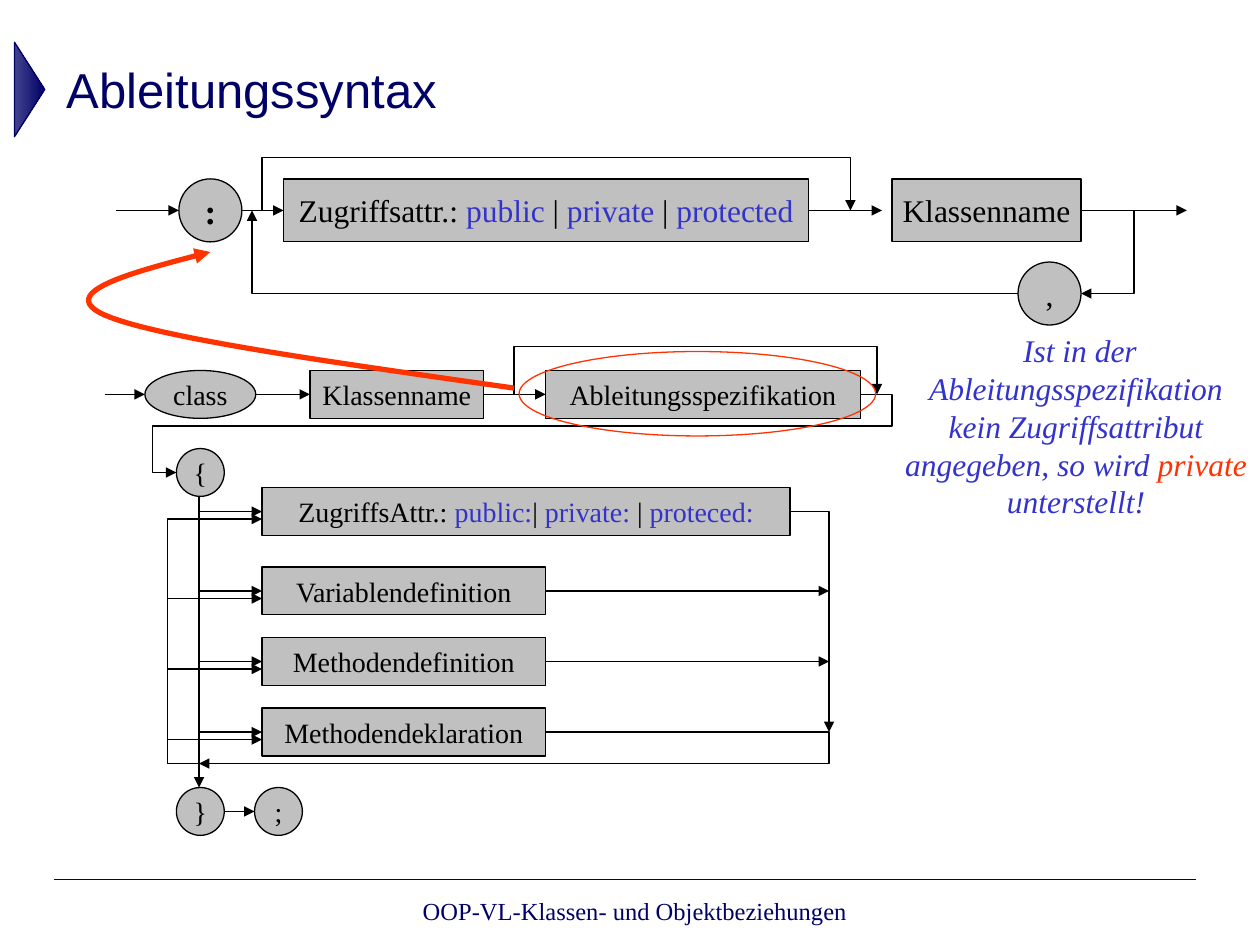
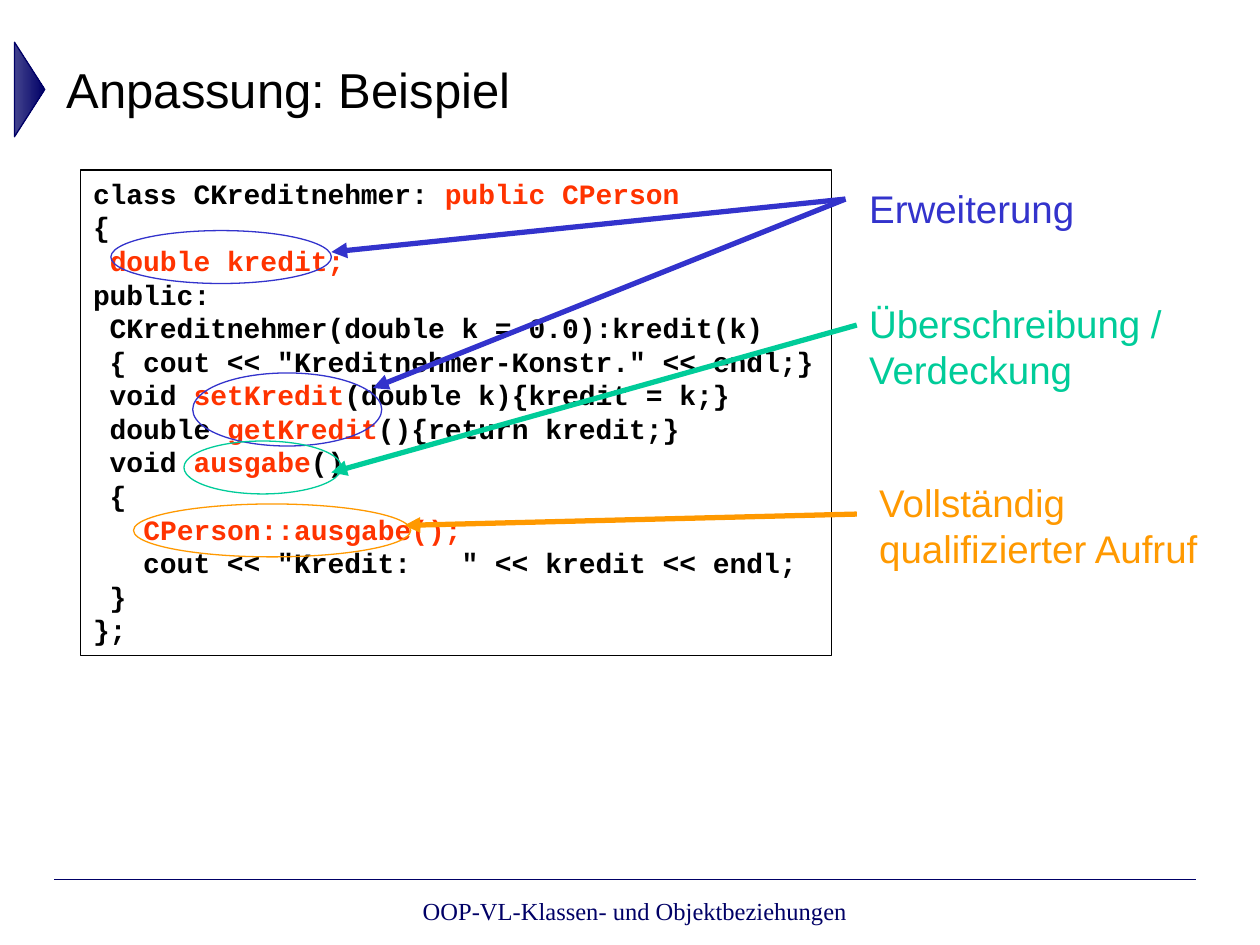
from pptx import Presentation
from pptx.dml.color import RGBColor
from pptx.enum import shapes, text
from pptx.oxml.ns import qn
from pptx.util import Inches, Pt
from lxml import etree

NAVY = RGBColor(0x00, 0x00, 0x66)
SLATE = RGBColor(0x43, 0x43, 0x8E)
BLACK = RGBColor(0x00, 0x00, 0x00)
WHITE = RGBColor(0xFF, 0xFF, 0xFF)
GREY = RGBColor(0xC0, 0xC0, 0xC0)
BLUE = RGBColor(0x33, 0x33, 0xCC)
RED = RGBColor(0xFF, 0x33, 0x00)
GREEN = RGBColor(0x00, 0xCC, 0x99)
ORANGE = RGBColor(0xFF, 0x99, 0x00)

SERIF, SANS, MONO = "Times New Roman", "Arial", "Courier New"
RECT = shapes.MSO_SHAPE.RECTANGLE
OVAL = shapes.MSO_SHAPE.OVAL
CENTER, LEFT = text.PP_ALIGN.CENTER, text.PP_ALIGN.LEFT
MIDDLE, TOP = text.MSO_ANCHOR.MIDDLE, text.MSO_ANCHOR.TOP
FOOTER = "OOP-VL-Klassen- und Objektbeziehungen"


def bezier(p0, p1, p2, p3, steps=24):
    """Points along a cubic curve, without its start."""
    for i in range(1, steps + 1):
        t = i / steps
        weights = ((1 - t) ** 3, 3 * t * (1 - t) ** 2, 3 * t * t * (1 - t), t ** 3)
        yield tuple(sum(w * p[axis] for w, p in zip(weights, (p0, p1, p2, p3)))
                    for axis in (0, 1))


class Deck:
    def __init__(self):
        self.prs = Presentation()
        self.prs.slide_width, self.prs.slide_height = Inches(10), Inches(7.5)
        self.s = None

    def new_slide(self, title, color):
        self.s = self.prs.slides.add_slide(self.prs.slide_layouts[5])
        # Title
        sp = self.s.shapes.title
        sp.left, sp.top, sp.width, sp.height = map(Inches, (0.43, 0.33, 9.06, 0.75))
        self.fill_text(sp.text_frame, [[(title, color)]], SANS, 28, LEFT, MIDDLE)
        # Footer rule, title marker and footer text
        self.line((0.43, 6.98), (9.49, 6.98), NAVY, 1, arrow=False)
        sp = self.shape(shapes.MSO_SHAPE.ISOSCELES_TRIANGLE, -0.14, 0.59, 0.75, 0.24, line=NAVY)
        sp.rotation = 90
        sp.fill.gradient()
        sp.fill.gradient_angle = 0
        for stop, rgb in zip(sp.fill.gradient_stops, (SLATE, NAVY)):
            stop.color.rgb = rgb
        sp.element.spPr.find(qn("a:gradFill")).set("rotWithShape", "0")
        self.label(2.56, 7.06, 4.96, 0.32, [(FOOTER, NAVY)], SERIF, 14, CENTER)

    def fill_text(self, tf, lines, font, size, align, anchor, wrap=True, bold=False,
                  italic=False):
        tf.word_wrap, tf.vertical_anchor = wrap, anchor
        for i, runs in enumerate(lines):
            p = tf.add_paragraph() if i else tf.paragraphs[0]
            p.alignment = align
            for words, color in runs:
                r = p.add_run()
                r.text = words
                r.font.name, r.font.size = font, Pt(size)
                r.font.bold, r.font.italic = bold, italic
                r.font.color.rgb = color

    def shape(self, kind, left, top, width, height, fill=None, line=BLACK):
        sp = self.s.shapes.add_shape(kind, *map(Inches, (left, top, width, height)))
        self.style(sp, fill, line, 0.75)
        return sp

    def style(self, sp, fill, line, weight):
        sp.shadow.inherit = False
        if fill is None:
            sp.fill.background()
        else:
            sp.fill.solid()
            sp.fill.fore_color.rgb = fill
        sp.line.color.rgb, sp.line.width = line, Pt(weight)

    def node(self, kind, left, mid, width, runs, size=16, height=0.38, bold=False):
        """Grey syntax symbol, centred on the height mid."""
        sp = self.shape(kind, left, mid - height / 2, width, height, GREY)
        if isinstance(runs, str):
            runs = [(runs, BLACK)]
        self.fill_text(sp.text_frame, [runs], SERIF, size, CENTER, MIDDLE, wrap=False, bold=bold)
        return sp

    def label(self, left, top, width, height, runs, font, size, align=LEFT, italic=False):
        sp = self.s.shapes.add_textbox(*map(Inches, (left, top, width, height)))
        self.fill_text(sp.text_frame, [runs], font, size, align, TOP, italic=italic)

    def add_head(self, sp):
        ln = sp.element.spPr.find(qn("a:ln"))
        etree.SubElement(ln, qn("a:tailEnd"), type="triangle")

    def line(self, start, end, color=BLACK, weight=0.75, source=None, target=None, arrow=True):
        """Straight line; joins the right side of source and the left side of target."""
        sp = self.s.shapes.add_connector(shapes.MSO_CONNECTOR.STRAIGHT,
                                         *map(Inches, start + end))
        if source is not None:
            sp.begin_connect(source, 3)
        if target is not None:
            sp.end_connect(target, 1)
        sp.line.color.rgb, sp.line.width = color, Pt(weight)
        if arrow:
            self.add_head(sp)
        etree.SubElement(sp.element.spPr, qn("a:effectLst"))

    def route(self, *points, color=BLACK, weight=0.75):
        """Open outline with an arrowhead at its last point."""
        emu = [tuple(map(Inches, p)) for p in points]
        builder = self.s.shapes.build_freeform(*emu[0])
        builder.add_line_segments(emu[1:], close=False)
        sp = builder.convert_to_shape()
        self.style(sp, None, color, weight)
        self.add_head(sp)


def alternatives(prefix, words, bars):
    """Prefix and blue keywords, with black separators between them."""
    runs = [(prefix, BLACK)]
    for word, bar in zip(words, bars + [""]):
        runs.append((word, BLUE))
        if bar:
            runs.append((bar, BLACK))
    return runs


def syntax_slide(d):
    d.new_slide("Ableitungssyntax", NAVY)

    # Class definition: head row
    y = 3.13
    d.node(OVAL, 1.15, y, 0.88, "class")
    name = d.node(RECT, 2.46, y, 1.38, "Klassenname")
    derivation = d.node(RECT, 4.33, y, 2.5, "Ableitungsspezifikation")
    d.line((0.83, y), (1.15, y))
    d.line((2.03, y), (2.46, y), target=name)
    d.line((3.84, y), (4.33, y), source=name, target=derivation)

    # Class body: members with entry, repeat and exit lines
    spine, loop, out = 1.58, 1.33, 6.58
    for brace, left, mid in (("{", 1.4, 3.75), ("}", 1.4, 6.44), (";", 2.02, 6.44)):
        d.node(OVAL, left, mid, 0.38, brace)
    d.line((spine, 3.94), (spine, 6.25))
    d.line((1.78, 6.44), (2.02, 6.44))
    access = alternatives("ZugriffsAttr.: ", ["public:", "private:", "proteced:"], ["| ", " | "])
    members = [(access, 4.06, 4.19), ("Variablendefinition", 4.69, 2.25),
               ("Methodendefinition", 5.25, 2.25), ("Methodendeklaration", 5.81, 2.25)]
    for i, (words, mid, width) in enumerate(members):
        member = d.node(RECT, 2.08, mid, width, words)
        d.line((spine, mid), (2.08, mid), target=member)
        if i:
            d.line((loop, mid + 0.06), (2.08, mid + 0.06))
        if i in (1, 2):
            d.line((4.33, mid), (out, mid), source=member)
    d.route((4.33, 5.81), (out, 5.81), (out, 6.06), (spine, 6.06))
    d.route((6.27, 4.06), (out, 4.06), (out, 5.81))
    d.route((spine, 6.06), (loop, 6.06), (loop, 4.12), (2.08, 4.12))
    d.route((6.83, y), (7.08, y), (7.08, 3.38), (1.21, 3.38), (1.21, 3.75), (1.4, 3.75))
    d.route((4.08, y), (4.08, 2.75), (6.96, 2.75), (6.96, y))
    d.shape(OVAL, 4.12, 2.79, 2.83, 0.67, line=RED)

    # Derivation specification
    y, back = 1.67, 2.33
    d.node(OVAL, 1.42, y, 0.5, ":", 20, 0.5, bold=True)
    access = alternatives("Zugriffsattr.: ", ["public", "private", "protected"], [" | ", " | "])
    access = d.node(RECT, 2.25, y, 4.17, access, 18, 0.5)
    base = d.node(RECT, 7.08, y, 1.5, "Klassenname", 18, 0.5)
    d.node(OVAL, 8.08, back, 0.5, ",", 18, 0.5)
    d.line((0.92, y), (1.42, y))
    d.line((1.92, y), (2.25, y), target=access)
    d.line((6.42, y), (7, y), source=access)
    d.line((8.58, y), (9.42, y), source=base)
    d.route((9, y), (9, back), (8.58, back))
    d.route((8.08, back), (2, back), (2, y))
    d.route((2.08, y), (2.08, 1.25), (6.75, 1.25), (6.75, y))

    # Curved pointer and remark
    start, turn, tip = (4.08, 3.08), (0.83, 2.5), (1.67, 2)
    d.route(start, *bezier(start, (2.66, 2.88), (1.24, 2.68), turn),
            *bezier(turn, (0.43, 2.32), (1.05, 2.16), tip), color=RED, weight=3)
    d.label(7.08, 2.58, 2.92, 1.6, [
        (" ", BLACK),
        ("Ist in der Ableitungsspezifikation kein Zugriffsattribut angegeben, so wird ", BLUE),
        ("private", RED), (" unterstellt!", BLUE)], SERIF, 18, CENTER, italic=True)


def example_slide(d):
    d.new_slide("Anpassung: Beispiel", BLACK)

    # Code listing
    code = [
        [("class CKreditnehmer: ", BLACK), ("public CPerson", RED)],
        [("{", BLACK)],
        [(" ", BLACK), ("double kredit;", RED)],
        [("public:", BLACK)],
        [(" CKreditnehmer(double k = 0.0):kredit(k)", BLACK)],
        [(' { cout << "Kreditnehmer-Konstr." << endl;}', BLACK)],
        [(" void ", BLACK), ("setKredit", RED), ("(double k){kredit = k;}", BLACK)],
        [(" double", BLACK), (" getKredit", RED), ("(){return kredit;}", BLACK)],
        [(" void ", BLACK), ("ausgabe", RED), ("()", BLACK)],
        [(" {", BLACK)],
        [("   ", BLACK), ("CPerson::ausgabe();", RED)],
        [('   cout << "Kredit:   " << kredit << endl;', BLACK)],
        [(" }", BLACK)],
        [("};", BLACK)],
    ]
    sp = d.shape(RECT, 0.64, 1.35, 5.96, 3.85, WHITE)
    d.fill_text(sp.text_frame, code, MONO, 16, LEFT, TOP, wrap=False, bold=True)

    # Rings around the adapted members
    for left, top, width, height, color in (
            (0.88, 1.83, 1.75, 0.42, BLUE), (1.53, 2.96, 1.5, 0.58, BLUE),
            (1.46, 3.5, 1.25, 0.42, GREEN), (1.06, 4, 2.2, 0.42, ORANGE)):
        d.shape(OVAL, left, top, width, height, line=color)

    # Remarks with their pointers
    remarks = [
        ("Erweiterung", BLUE, (6.8, 1.42, 1.92, 0.47), (6.71, 1.58), [(2.63, 2), (2.96, 3.08)]),
        ("Überschreibung / Verdeckung", GREEN, (6.8, 2.33, 3.17, 0.83), (6.8, 2.58),
         [(2.63, 3.75)]),
        ("Vollständig qualifizierter Aufruf", ORANGE, (6.88, 3.75, 3, 0.83), (6.8, 4.08),
         [(3.21, 4.17)]),
    ]
    for words, color, place, start, tips in remarks:
        d.label(*place, [(words, color)], SANS, 22)
        for tip in tips:
            d.line(start, tip, color, 3)


def main():
    d = Deck()
    syntax_slide(d)
    example_slide(d)
    d.prs.save("out.pptx")


if __name__ == "__main__":
    main()
